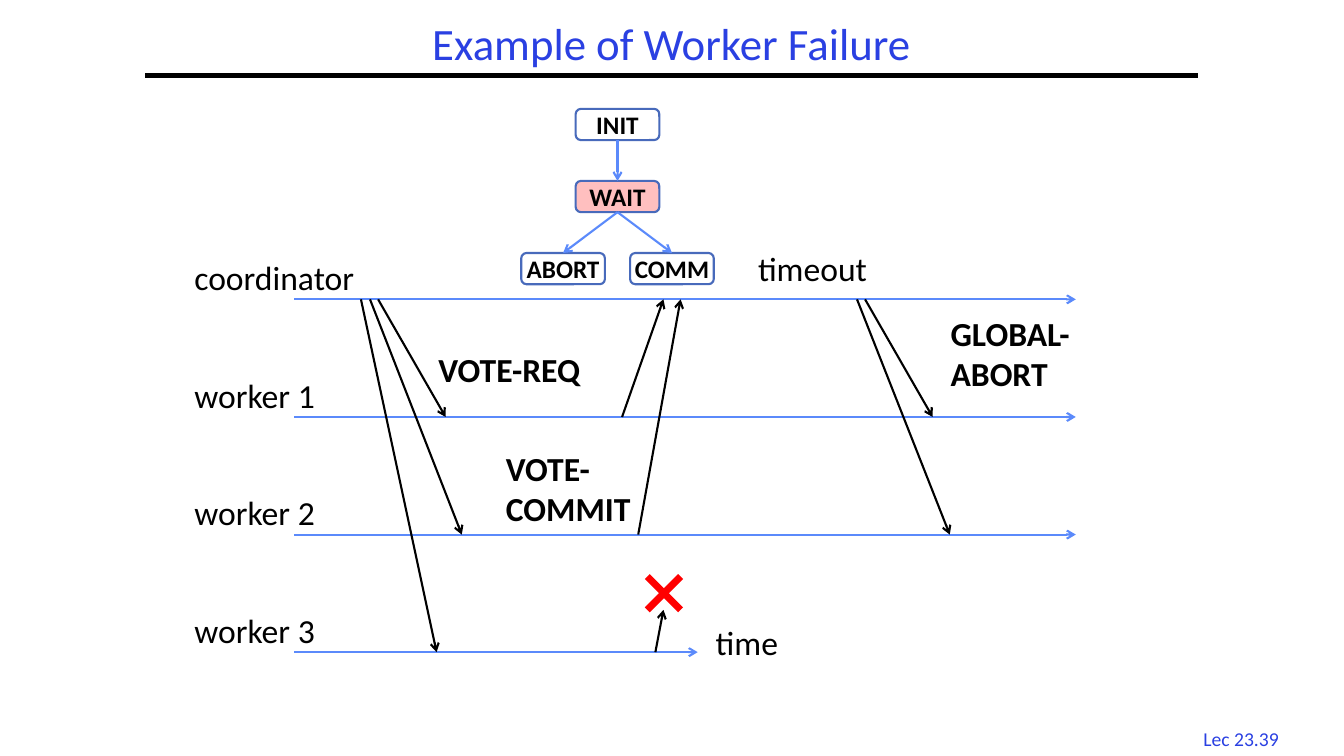
import pptx
import pptx.util
import pptx.dml.color
import pptx.enum.shapes
import pptx.enum.text
import pptx.oxml.ns
import lxml.etree

Inches = pptx.util.Inches
Pt = pptx.util.Pt
ALIGN = pptx.enum.text.PP_ALIGN
ANCHOR = pptx.enum.text.MSO_ANCHOR
SHAPE = pptx.enum.shapes.MSO_SHAPE
LINE = pptx.enum.shapes.MSO_CONNECTOR
qn = pptx.oxml.ns.qn

BLACK, BLUE, SKY, EDGE, RED = "000000", "2A40E2", "5B8AFB", "486ABB", "FF0000"


def paint(color, code):
    color.rgb = pptx.dml.color.RGBColor.from_string(code)


def write(frame, text, color=BLACK, align=ALIGN.LEFT, wrap=True, **font):
    frame.word_wrap = wrap
    para = frame.paragraphs[0]
    para.alignment = align
    run = para.add_run()
    run.text = text
    for name, value in {"name": "Calibri", **font}.items():
        setattr(run.font, name, value)
    paint(run.font.color, color)
    return para


def label(slide, text, box, size=24, **form):
    frame = slide.shapes.add_textbox(*map(Inches, box)).text_frame
    write(frame, text, size=Pt(size), **form)


def stroke(slide, start, end, color=BLACK, width=1.5, arrow=True):
    line = slide.shapes.add_connector(
        LINE.STRAIGHT, *map(Inches, (*start, *end)))
    paint(line.line.color, color)
    line.line.width = Pt(width)
    props = line.element.spPr
    if arrow:
        lxml.etree.SubElement(
            props.find(qn("a:ln")), qn("a:tailEnd"), type="arrow")
    lxml.etree.SubElement(props, qn("a:effectLst"))


def head(slide, left, top, width, height):
    # Title above a heavy rule
    title = slide.shapes.title
    place = {"left": left, "top": top, "width": width, "height": height}
    for name, value in place.items():
        setattr(title, name, Inches(value))
    frame = title.text_frame
    frame.vertical_anchor = ANCHOR.MIDDLE
    para = write(frame, "Example of Worker Failure", BLUE, ALIGN.CENTER,
                 size=Pt(32))
    para.line_spacing = 0.9
    base = top + height
    stroke(slide, (left, base), (left + width, base), width=3, arrow=False)


def lanes(slide, left, top, width, height):
    step = height / 3

    def spot(x, lane):
        return left + x, top + lane * step

    # Time line of each party
    names = ["coordinator", "worker 1", "worker 2", "worker 3"]
    for lane, name in enumerate(names):
        x, y = spot(0, lane)
        label(slide, name, (x, y - 0.47, 1.5 if lane else 2, 0.51))
        end = 5.09 if lane == 3 else width
        stroke(slide, spot(1.09, lane), spot(end, lane), SKY)

    # Messages: start x, start lane, end x, end lane
    sends = [
        (1.92, 0, 2.59, 1), (1.84, 0, 2.75, 2), (1.75, 0, 2.5, 3),
        (4.34, 1, 4.75, 0), (4.5, 2, 4.92, 0),
        (6.75, 0, 7.42, 1), (6.67, 0, 7.59, 2), (4.67, 3, 4.75, 2.64),
    ]
    for x1, from_, x2, to in sends:
        stroke(slide, spot(x1, from_), spot(x2, to))

    # Message names and notes
    notes = [
        ("VOTE-REQ", 2.42, 0.44, 1.75, 0.51, True),
        ("VOTE-COMMIT", 3.09, 1.42, 1.83, 0.91, True),
        ("GLOBAL-ABORT", 7.5, 0.08, 2, 0.91, True),
        ("timeout", 5.59, -0.56, 2, 0.51, False),
        ("time", 5.17, 3.15, 0.92, 0.51, False),
    ]
    for text, x, y, wide, high, bold in notes:
        label(slide, text, (left + x, top + y, wide, high), bold=bold)


def cross(slide, left, top, size):
    # Lost vote of worker 3
    for x1, x2 in ((left, left + size), (left + size, left)):
        stroke(slide, (x1, top), (x2, top + size), RED, 5, False)


def states(slide, left, top, width, height):
    wide, high = 0.83, 0.31
    mid = (width - wide) / 2
    step = (height - high) / 2

    # State boxes: column offset, row
    nodes = {"INIT": (mid, 0), "WAIT": (mid, 1),
             "ABORT": (0, 2), "COMM": (width - wide, 2)}
    for name, (x, row) in nodes.items():
        node = slide.shapes.add_shape(
            SHAPE.ROUNDED_RECTANGLE,
            *map(Inches, (left + x, top + row * step, wide, high)))
        node.shadow.inherit = False
        paint(node.line.color, EDGE)
        node.line.width = Pt(1.5)
        if name == "WAIT":
            node.fill.solid()
            paint(node.fill.fore_color, RED)
            tint = node.element.spPr.find(qn("a:solidFill"))[0]
            lxml.etree.SubElement(tint, qn("a:alpha"), val="25000")
        else:
            node.fill.background()
        frame = node.text_frame
        form = {"margin_left": 0, "margin_right": 0, "margin_top": 0,
                "margin_bottom": 0, "vertical_anchor": ANCHOR.MIDDLE}
        for key, value in form.items():
            setattr(frame, key, value)
        write(frame, name, align=ALIGN.CENTER, size=Pt(18), bold=True)

    # Moves between states
    for old, new in (("INIT", "WAIT"), ("WAIT", "ABORT"), ("WAIT", "COMM")):
        (x1, row1), (x2, row2) = nodes[old], nodes[new]
        stroke(slide,
               (left + x1 + wide / 2, top + row1 * step + high),
               (left + x2 + wide / 2, top + row2 * step), SKY)


def main():
    deck = pptx.Presentation()
    deck.slide_width, deck.slide_height = Inches(13.33), Inches(7.5)
    slide = deck.slides.add_slide(deck.slide_layouts[5])
    head(slide, 1.44, 0.17, 10.44, 0.58)
    lanes(slide, 1.83, 2.97, 8.84, 3.5)
    cross(slide, 6.42, 5.72, 0.33)
    states(slide, 5.17, 1.08, 1.91, 1.74)
    # Page mark
    label(slide, "Lec 23.39", (11.77, 7.16, 1.08, 0.33), 14,
          color=BLUE, align=ALIGN.CENTER, wrap=False)
    deck.save("out.pptx")


if __name__ == "__main__":
    main()
